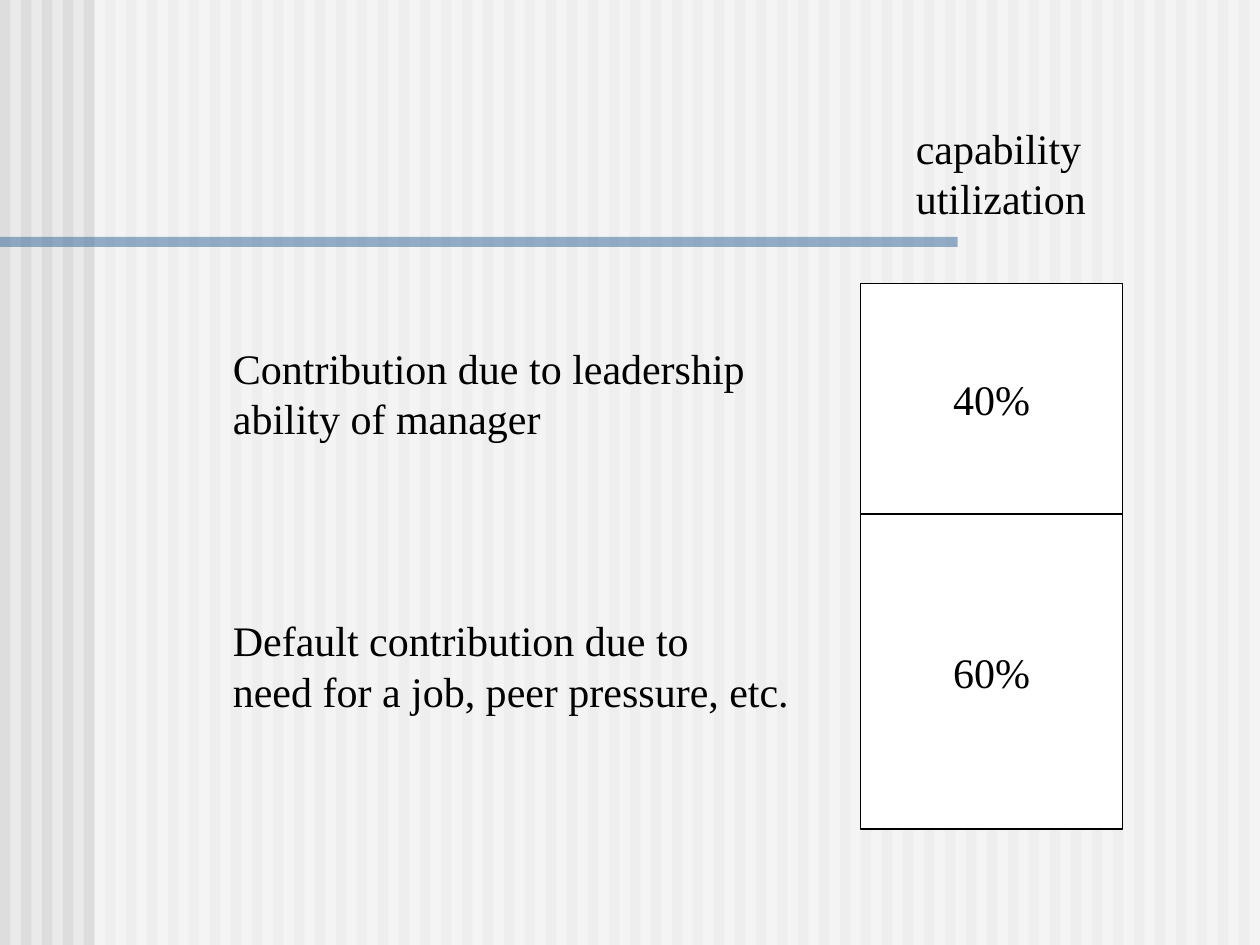
from dataclasses import dataclass

import pptx
import pptx.dml.color
import pptx.enum.shapes
import pptx.enum.text
import pptx.oxml.ns
import pptx.util
from lxml import etree

Inches = pptx.util.Inches
RGB = pptx.dml.color.RGBColor.from_string
PP_ALIGN = pptx.enum.text.PP_ALIGN
RECT = pptx.enum.shapes.MSO_SHAPE.RECTANGLE


@dataclass(frozen=True)
class Theme:
    background: str = "EAEAEA"
    stripe: str = "DDDDDD"
    paper: str = "FFFFFF"
    accent: str = "336699"
    ink: str = "000000"
    font: str = "Times New Roman"
    size: float = 24
    leading: float = 28.8
    outline: float = 0.75


@dataclass(frozen=True)
class Box:
    left: float
    top: float
    width: float
    height: float

    def lengths(self) -> list:
        return [Inches(v) for v in (self.left, self.top, self.width, self.height)]


@dataclass(frozen=True)
class Share:
    text: str
    height: float


@dataclass(frozen=True)
class Label:
    box: Box
    lines: tuple


THEME = Theme()
STRIPE_COUNT = 60
STRIPE_PITCH = 10 / STRIPE_COUNT
BAR_LEFT, BAR_TOP, BAR_WIDTH = 6.83, 2.25, 2.08

SHARES = (Share("40%", 1.83), Share("60%", 2.5))
LABELS = (
    Label(Box(7.17, 0.92, 1.55, 0.9), ("capability", "utilization")),
    Label(Box(1.75, 2.67, 4.35, 0.9),
          ("Contribution due to leadership", "ability of manager")),
    Label(Box(1.75, 4.83, 4.7, 0.9),
          ("Default contribution due to", "need for a job, peer pressure, etc.")),
)


def add_rect(shapes, box: Box, color: str, alpha: int = 100):
    """Add a flat rectangle without outline; alpha is opacity in percent."""
    sp = shapes.add_shape(RECT, *box.lengths())
    sp.shadow.inherit = False
    sp.fill.solid()
    sp.fill.fore_color.rgb = RGB(color)
    sp.line.fill.background()
    if alpha < 100:
        qn = pptx.oxml.ns.qn
        clr = sp.fill._xPr.find(qn("a:solidFill")).find(qn("a:srgbClr"))
        etree.SubElement(clr, qn("a:alpha")).set("val", str(alpha * 1000))
    return sp


def write_lines(tf, lines: tuple, align) -> None:
    tf.word_wrap = False
    text_format = {"name": THEME.font, "size": pptx.util.Pt(THEME.size)}
    for i, line in enumerate(lines):
        p = tf.add_paragraph() if i else tf.paragraphs[0]
        p.alignment = align
        p.line_spacing = pptx.util.Pt(THEME.leading)
        r = p.add_run()
        r.text = line
        for name, value in text_format.items():
            setattr(r.font, name, value)
        r.font.color.rgb = RGB(THEME.ink)


def add_backdrop(slide) -> None:
    slide.background.fill.solid()
    slide.background.fill.fore_color.rgb = RGB(THEME.background)
    shapes = slide.shapes.add_group_shape().shapes
    for i in range(STRIPE_COUNT):
        add_rect(shapes, Box(i * STRIPE_PITCH, 0, STRIPE_PITCH / 2, 7.5), THEME.stripe)
    add_rect(shapes, Box(0.75, 0, 9.25, 7.5), THEME.paper, alpha=50)
    add_rect(shapes, Box(0, 1.88, 7.6, 0.08), THEME.accent, alpha=50)


def add_share(slide, share: Share, top: float) -> None:
    sp = add_rect(slide.shapes, Box(BAR_LEFT, top, BAR_WIDTH, share.height), THEME.paper)
    sp.line.color.rgb = RGB(THEME.ink)
    sp.line.width = pptx.util.Pt(THEME.outline)
    sp.text_frame.vertical_anchor = pptx.enum.text.MSO_ANCHOR.MIDDLE
    write_lines(sp.text_frame, (share.text,), PP_ALIGN.CENTER)


def add_label(slide, label: Label) -> None:
    tf = slide.shapes.add_textbox(*label.box.lengths()).text_frame
    write_lines(tf, label.lines, PP_ALIGN.LEFT)
    tf.auto_size = pptx.enum.text.MSO_AUTO_SIZE.SHAPE_TO_FIT_TEXT


def main() -> None:
    prs = pptx.Presentation()
    prs.slide_width, prs.slide_height = Inches(10), Inches(7.5)
    slide = prs.slides.add_slide(prs.slide_layouts[6])

    # Striped backdrop with the accent rule
    add_backdrop(slide)

    # Stacked bar of shares
    top = BAR_TOP
    for share in SHARES:
        add_share(slide, share, top)
        top += share.height

    # Heading and explanations
    for label in LABELS:
        add_label(slide, label)

    prs.save("out.pptx")


if __name__ == "__main__":
    main()
